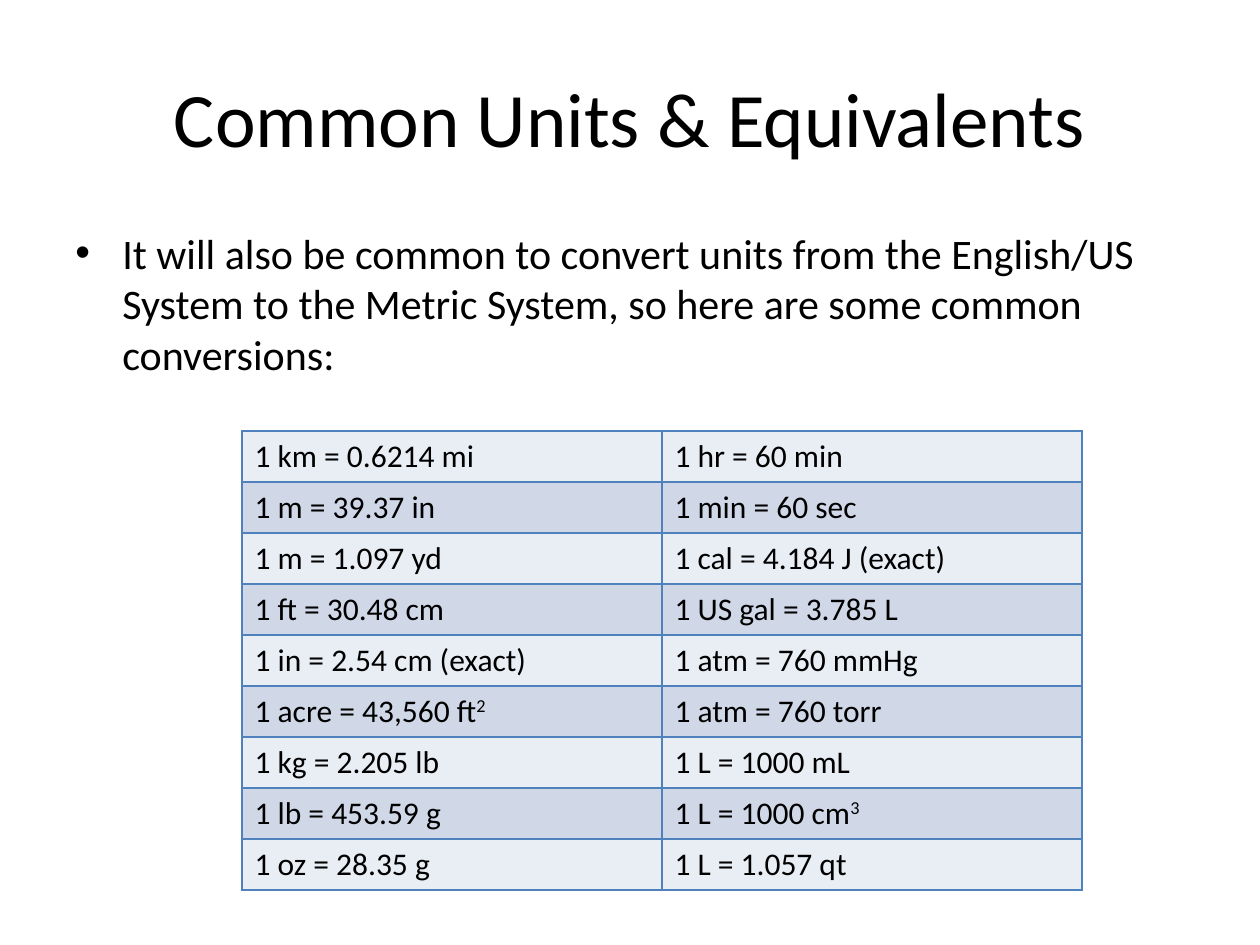
from lxml.etree import SubElement
from pptx import Presentation
from pptx.dml.color import RGBColor
from pptx.enum.text import MSO_ANCHOR as Anchor, PP_ALIGN as Align
from pptx.oxml import parse_xml
from pptx.oxml.ns import nsdecls, qn
from pptx.util import Emu, Pt

PX_PER_INCH = 126
FONT = "Calibri"
BLACK = RGBColor(0x00, 0x00, 0x00)
BORDER = RGBColor(0x4F, 0x81, 0xBD)
BANDS = (RGBColor(0xE9, 0xED, 0xF4), RGBColor(0xD0, 0xD8, 0xE8))

# A caret starts a superscript.
EQUIVALENTS = [
    ("1 km = 0.6214 mi", "1 hr = 60 min"),
    ("1 m = 39.37 in", "1 min = 60 sec"),
    ("1 m = 1.097 yd", "1 cal = 4.184 J (exact)"),
    ("1 ft = 30.48 cm", "1 US gal = 3.785 L"),
    ("1 in = 2.54 cm (exact)", "1 atm = 760 mmHg"),
    ("1 acre = 43,560 ft^2", "1 atm = 760 torr"),
    ("1 kg = 2.205 lb", "1 L = 1000 mL"),
    ("1 lb = 453.59 g", "1 L = 1000 cm^3"),
    ("1 oz = 28.35 g", "1 L = 1.057 qt"),
]


def px(length):
    return Emu(round(length * 914400 / PX_PER_INCH))


def add_run(paragraph, text, size):
    run = paragraph.add_run()
    run.text = text
    run.font.name = FONT
    run.font.size = Pt(size)
    run.font.color.rgb = BLACK
    return run


def add_text(slide, text, size, left, top, width, height, anchor=Anchor.TOP):
    frame = slide.shapes.add_textbox(px(left), px(top), px(width), px(height)).text_frame
    frame.word_wrap = True
    frame.vertical_anchor = anchor
    paragraph = frame.paragraphs[0]
    add_run(paragraph, text, size)
    return paragraph


def add_bullet(paragraph, indent):
    """Hang the paragraph behind a round bullet."""
    properties = paragraph._p.get_or_add_pPr()
    properties.set("marL", str(px(indent)))
    properties.set("indent", str(-px(indent)))
    SubElement(properties, qn("a:buFont")).set("typeface", "Arial")
    SubElement(properties, qn("a:buChar")).set("char", "•")


def add_borders(cell):
    properties = cell._tc.get_or_add_tcPr()
    for position, side in enumerate(("lnL", "lnR", "lnT", "lnB")):
        properties.insert(position, parse_xml(
            f'<a:{side} {nsdecls("a")} w="{Pt(1)}"><a:solidFill>'
            f'<a:srgbClr val="{BORDER}"/></a:solidFill></a:{side}>'))


def fill_cell(cell, equivalent, band):
    cell.fill.solid()
    cell.fill.fore_color.rgb = band
    add_borders(cell)
    paragraph = cell.text_frame.paragraphs[0]
    base, _, exponent = equivalent.partition("^")
    add_run(paragraph, base, 18)
    if exponent:
        add_run(paragraph, exponent, 18).font._element.set("baseline", "30000")


def add_equivalents(slide, left, top, column_width, row_height):
    rows, columns = len(EQUIVALENTS), len(EQUIVALENTS[0])
    table = slide.shapes.add_table(
        rows, columns, px(left), px(top),
        px(columns * column_width), px(rows * row_height)).table
    table.first_row = False
    for row, equivalents in enumerate(EQUIVALENTS):
        for column, equivalent in enumerate(equivalents):
            fill_cell(table.cell(row, column), equivalent, BANDS[row % 2])


def main():
    deck = Presentation()
    deck.slide_width, deck.slide_height = px(1260), px(945)
    slide = deck.slides.add_slide(deck.slide_layouts[6])

    title = add_text(slide, "Common Units & Equivalents", 44,
                     63, 38, 1134, 157, Anchor.MIDDLE)
    title.alignment = Align.CENTER

    intro = add_text(slide, "It will also be common to convert units from the English/US "
                     "System to the Metric System, so here are some common conversions:",
                     24, 63, 221, 1134, 624)
    intro.space_before = Pt(5)
    add_bullet(intro, 47)

    add_equivalents(slide, 242, 431, 420, 51)
    deck.save("out.pptx")


if __name__ == "__main__":
    main()
